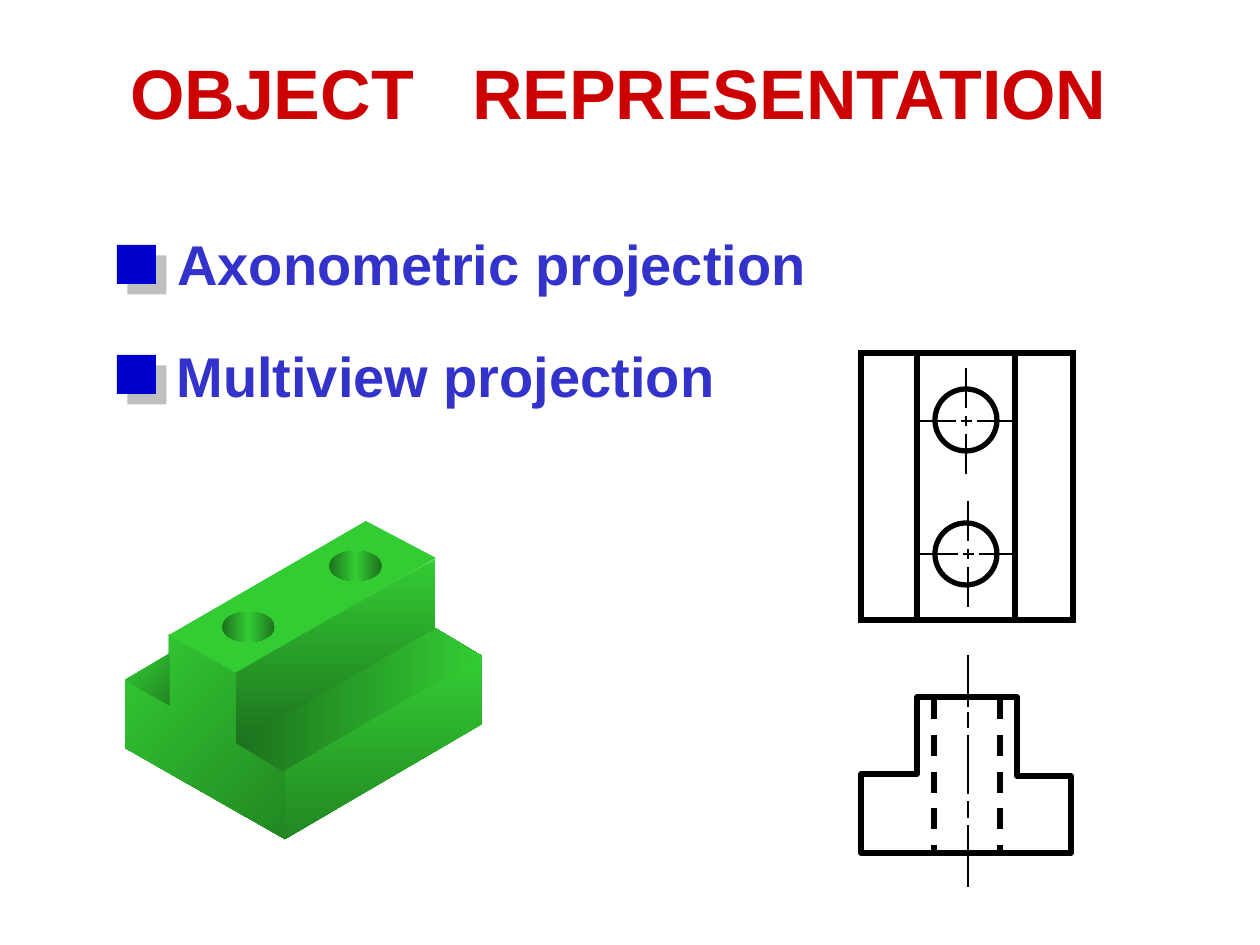
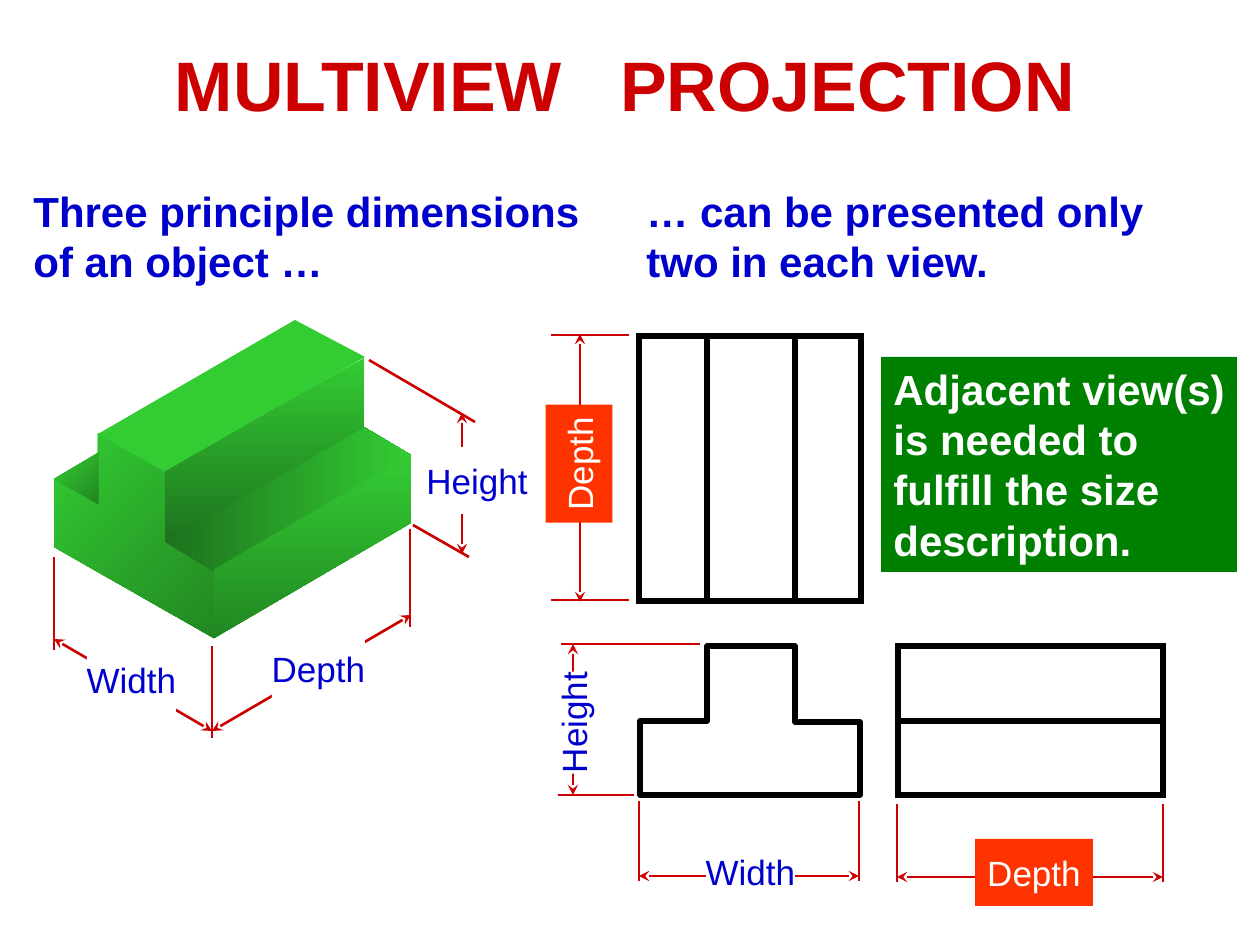
from pptx import Presentation, util as u
from pptx.dml.color import RGBColor
from pptx.enum import dml, shapes, text
from pptx.oxml import parse_xml
from pptx.oxml.ns import nsdecls, qn
from lxml import etree

PX = 914400 / 126
FONT = "Arial"
COLORS = {
    "title": "CC0000", "bullet": "3333CC", "blue": "0000CC", "shadow": "808080",
    "light": "33CC33", "middle": "228722", "dark": "1D721D", "note": "008000",
    "label": "FF3300", "black": "000000", "white": "FFFFFF",
}
THICK, THIN = 3, 1.5
RECT, OVAL = shapes.MSO_SHAPE.RECTANGLE, shapes.MSO_SHAPE.OVAL


def px(value):
    return u.Emu(round(value * PX))


def color(name):
    return RGBColor.from_string(COLORS[name])


# Basic parts

def add_preset(page, kind, box, fill=None):
    shape = page.shapes.add_shape(kind, *map(px, box))
    shape.shadow.inherit = False
    shape.line.fill.background()
    if fill:
        shape.fill.solid()
        shape.fill.fore_color.rgb = color(fill)
    else:
        shape.fill.background()
    return shape


def add_freeform(page, origin, points):
    builder = page.shapes.build_freeform(*points[0], scale=PX)
    builder.add_line_segments(points[1:], close=True)
    shape = builder.convert_to_shape(*map(px, origin))
    shape.shadow.inherit = False
    shape.line.fill.background()
    shape.fill.background()
    return shape


def outline(shape, join):
    shape.line.color.rgb = color("black")
    shape.line.width = u.Pt(THICK)
    etree.SubElement(shape.line._get_or_add_ln(), qn(f"a:{join}"))


def fill_gradient(shape, names, angle):
    last = len(names) - 1
    stops = "".join(
        f'<a:gs pos="{100000 * i // last}"><a:srgbClr val="{COLORS[name]}"/></a:gs>'
        for i, name in enumerate(names))
    shape.fill.background()
    properties = shape._element.spPr
    properties.replace(properties.find(qn("a:noFill")), parse_xml(
        f'<a:gradFill {nsdecls("a")} rotWithShape="1"><a:gsLst>{stops}</a:gsLst>'
        f'<a:lin ang="{angle * 60000}" scaled="1"/></a:gradFill>'))


def add_line(page, origin, ends, width, name="black", dashed=False, arrows=False):
    left, top = origin
    x1, y1, x2, y2 = ends
    line = page.shapes.add_connector(
        shapes.MSO_CONNECTOR.STRAIGHT,
        px(left + x1), px(top + y1), px(left + x2), px(top + y2))
    line.line.color.rgb = color(name)
    line.line.width = u.Pt(width)
    if dashed:
        line.line.dash_style = dml.MSO_LINE.DASH
    if arrows:
        for end in ("a:headEnd", "a:tailEnd"):
            etree.SubElement(line.line._get_or_add_ln(), qn(end), type="stealth")
    etree.SubElement(line._element.spPr, qn("a:effectLst"))
    return line


def add_span(para, words, size, name, bold):
    span = para.add_run()
    span.text = words
    span.font.name = FONT
    span.font.size = u.Pt(size)
    span.font.bold = bold
    span.font.color.rgb = color(name)
    return span


def write(shape, paragraphs, size, name, bold=True, wrap=True,
          align=text.PP_ALIGN.LEFT, anchor=text.MSO_ANCHOR.TOP):
    frame = shape.text_frame
    frame.word_wrap = wrap
    frame.vertical_anchor = anchor
    for i, words in enumerate(paragraphs):
        para = frame.paragraphs[0] if i == 0 else frame.add_paragraph()
        para.alignment = align
        for j, part in enumerate(words.split("\n")):
            if j:
                para.add_line_break()
            add_span(para, part, size, name, bold)


def add_text(page, box, paragraphs, size, name):
    write(page.shapes.add_textbox(*map(px, box)), paragraphs, size, name)


# Shared regions

def add_title(page, box, first, second):
    frame = page.shapes.add_textbox(*map(px, box)).text_frame
    frame.word_wrap = True
    para = frame.paragraphs[0]
    para.alignment = text.PP_ALIGN.CENTER
    for words in (first, " ", second):
        span = add_span(para, words, 40, "title", True)
        if words == " ":
            # Letter spacing makes the wide gap between the two words
            span._r.get_or_add_rPr().set("spc", "2220")


def add_block(page, origin, holes=()):
    """Pictorial view of the T-shaped block, 357 by 318 px."""
    faces = [
        ([(0, 227), (0, 159), (44, 184), (44, 113), (111, 151), (111, 222),
          (160, 251), (160, 318)], ("light", "middle"), 45),
        ([(44, 114), (241, 0), (311, 37), (111, 152)], ("light", "light"), 0),
        ([(160, 251), (111, 222), (310, 107), (357, 135)], ("dark", "light"), 0),
        ([(310, 107), (310, 38), (111, 152), (111, 222)], ("light", "dark"), 90),
        ([(160, 318), (160, 250), (357, 135), (357, 203)], ("light", "middle"), 90),
        ([(0, 159), (44, 133), (44, 184)], ("light", "middle"), 45),
    ]
    for points, names, angle in faces:
        face = add_freeform(page, origin, points)
        if names[0] == names[1]:
            face.fill.solid()
            face.fill.fore_color.rgb = color(names[0])
        else:
            fill_gradient(face, names, angle)
    for x, y in holes:
        hole = add_preset(page, OVAL, (origin[0] + x, origin[1] + y, 53, 30))
        fill_gradient(hole, ("dark", "light", "dark"), 0)


def add_rect_view(page, box, edges):
    outline(add_preset(page, RECT, box), "miter")
    for edge in edges:
        add_line(page, box[:2], edge, THICK)


def add_front_view(page, box, stem, shoulders):
    left, top, width, height = box
    x1, x2 = stem
    y1, y2 = shoulders
    outline(add_freeform(page, (left, top), [
        (0, height), (0, y1), (x1, y1), (x1, 0), (x2, 0), (x2, y2),
        (width, y2), (width, height)]), "round")


def add_dimension(page, origin, words, ends, extensions, label, red=False, turn=0):
    for extension in extensions:
        add_line(page, origin, extension, THIN, "title")
    add_line(page, origin, ends, THIN, "title", arrows=True)
    x, y, width, height = label
    tag = add_preset(page, RECT, (origin[0] + x, origin[1] + y, width, height),
                     "label" if red else "white")
    tag.rotation = turn
    tag.text_frame.margin_left = tag.text_frame.margin_right = 0
    write(tag, [words], 20, "white" if red else "blue", bold=False, wrap=False,
          align=text.PP_ALIGN.CENTER, anchor=text.MSO_ANCHOR.MIDDLE)


# Slide 1 regions

def add_bullet(page, left, top, text_left, text_top, words):
    add_text(page, (text_left, text_top, 680, 81), [words], 32, "bullet")
    marker = add_preset(page, RECT, (left, top, 39, 39), "blue")
    effects = marker._element.spPr.find(qn("a:effectLst"))
    effects.append(parse_xml(
        f'<a:outerShdw {nsdecls("a")} dist="{u.Pt(8.5)}" dir="2700000" algn="ctr" '
        f'rotWithShape="0"><a:srgbClr val="{COLORS["shadow"]}"><a:alpha val="50000"/>'
        '</a:srgbClr></a:outerShdw>'))


def add_drilled_top_view(page, box):
    left, top, _, height = box
    add_rect_view(page, box, [(x, 0, x, height) for x in (56, 154)])
    for y, center in ((36, (105, 68)), (170, (107, 201))):
        outline(add_preset(page, OVAL, (left + 74, top + y, 62, 62)), "round")
        cross = (left + center[0], top + center[1])
        for start, end in ((-5, 6), (-49, -10), (11, 50)):
            add_line(page, cross, (start, 0, end, 0), THIN)
        for start, end in ((-5, 5), (-53, -13), (13, 53)):
            add_line(page, cross, (0, start, 0, end), THIN)


def add_drilled_front_view(page, box):
    add_front_view(page, box, (56, 156), (77, 79))
    for x in (73, 139):
        add_line(page, box[:2], (x, 1, x, 157), THICK, dashed=True)
    # Centre line
    for start, end in ((-42, 10), (15, 31), (38, 97), (104, 121), (128, 190)):
        add_line(page, box[:2], (107, start, 107, end), THIN)


def build_representation(page):
    add_title(page, (0, 43, 1237, 97), "OBJECT", "REPRESENTATION")
    add_bullet(page, 117, 245, 165, 223, "Axonometric projection")
    add_bullet(page, 117, 355, 164, 335, "Multiview projection")
    add_block(page, (125, 521), holes=((97, 91), (204, 30)))
    add_drilled_front_view(page, (861, 697, 210, 156))
    add_drilled_top_view(page, (861, 353, 212, 267))


# Slide 2 regions

def add_dimensioned_block(page, origin):
    add_block(page, origin)
    add_dimension(page, origin, "Width", (0, 319, 158, 411),
                  [(0, 237, 0, 330), (158, 326, 158, 418)], (33, 326, 89, 67))
    add_dimension(page, origin, "Depth", (158, 411, 357, 295),
                  [(356, 209, 356, 307)], (218, 315, 93, 67))
    add_dimension(page, origin, "Height", (408, 234, 408, 93),
                  [(359, 205, 415, 237), (315, 40, 421, 102)], (372, 127, 102, 67))


def add_dimensioned_front(page, box):
    origin = box[:2]
    add_dimension(page, origin, "Width", (-1, 230, 219, 230),
                  [(x, 155, x, 235) for x in (-1, 219)], (66, 192, 89, 67))
    add_dimension(page, origin, "Height", (-67, -2, -67, 149),
                  [(-79, -2, 60, -2), (-82, 149, -6, 149)],
                  (-118, 43, 102, 67), turn=270)
    add_front_view(page, box, (67, 155), (75, 76))


def add_dimensioned_side(page, box):
    add_dimension(page, box[:2], "Depth", (-1, 231, 265, 231),
                  [(x, 158, x, 236) for x in (-1, 265)], (77, 193, 118, 67), red=True)
    add_rect_view(page, box, [(0, 75, box[2], 75)])


def add_dimensioned_top(page, box):
    add_rect_view(page, box, [(x, 0, x, box[3]) for x in (68, 156)])
    add_dimension(page, box[:2], "Depth", (-59, 266, -59, -2),
                  [(-88, y, -10, y) for y in (264, -1)],
                  (-119, 94, 118, 67), red=True, turn=270)


def build_multiview(page):
    add_title(page, (0, 35, 1250, 97), "MULTIVIEW", "PROJECTION")
    add_text(page, (21, 179, 600, 113),
             ["Three principle dimensions", "of an object …"], 24, "blue")
    add_dimensioned_block(page, (54, 320))
    add_dimensioned_front(page, (640, 646, 220, 149))
    add_dimensioned_side(page, (898, 646, 265, 149))
    add_dimensioned_top(page, (639, 336, 222, 265))
    add_text(page, (634, 179, 600, 113),
             ["… can be presented only", "two in each view."], 24, "blue")
    note = add_preset(page, RECT, (881, 357, 356, 215), "note")
    write(note, ["Adjacent view(s)", "is needed to\nfulfill the size", "description."],
          24, "white", wrap=False)


def main():
    deck = Presentation()
    deck.slide_width, deck.slide_height = px(1260), px(945)
    for build in (build_representation, build_multiview):
        build(deck.slides.add_slide(deck.slide_layouts[6]))
    deck.save("out.pptx")


if __name__ == "__main__":
    main()
